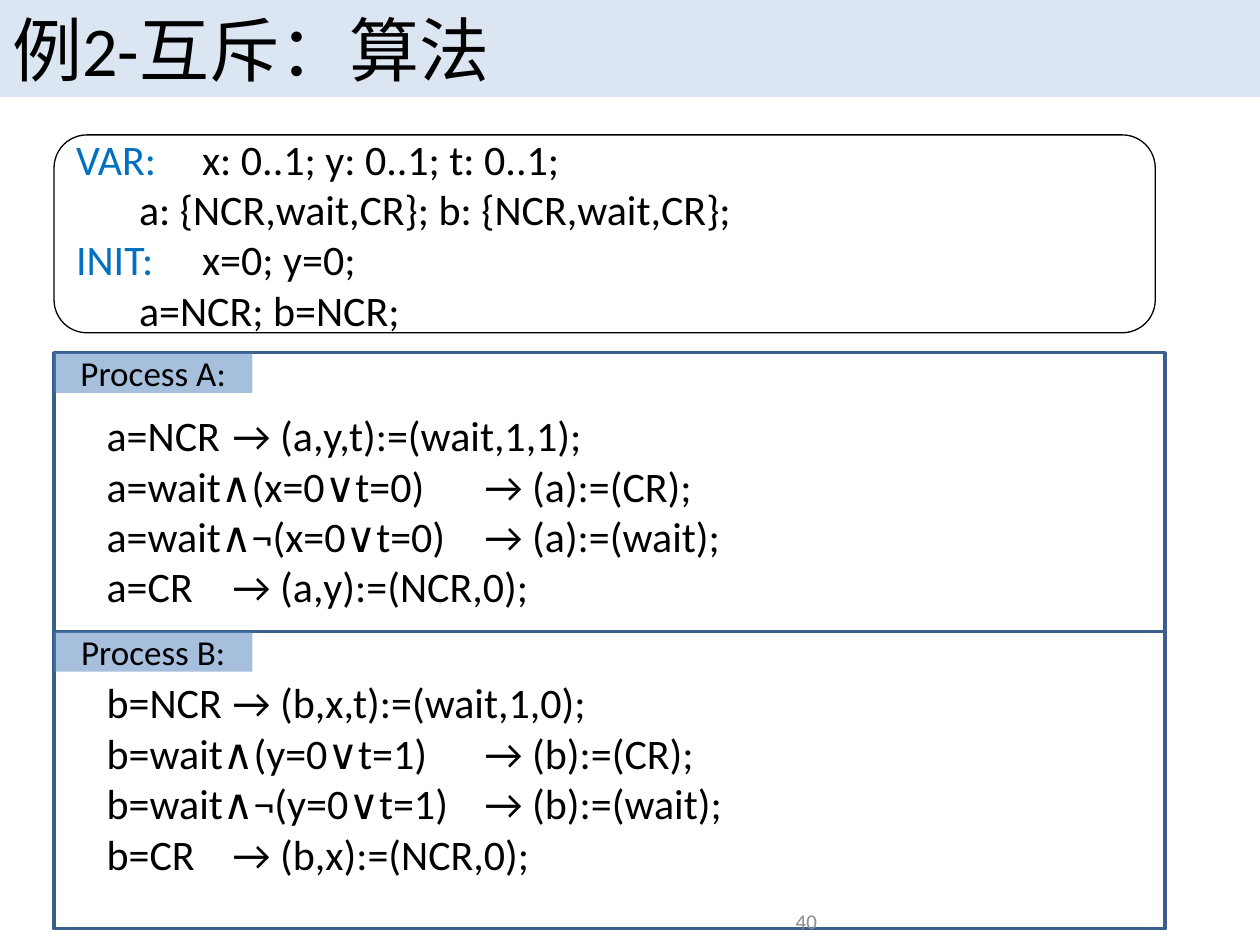
import dataclasses

import pptx
import pptx.dml.color
import pptx.enum.shapes
import pptx.enum.text
import pptx.oxml
import pptx.oxml.ns
import pptx.util
from pptx.util import Cm

SHAPES = pptx.enum.shapes.MSO_SHAPE
ALIGN = pptx.enum.text.PP_ALIGN
ANCHOR = pptx.enum.text.MSO_ANCHOR


@dataclasses.dataclass(frozen=True)
class Theme:
    """Colours, font and type sizes of the slide."""
    font: str = "Calibri"
    text: str = "000000"
    keyword: str = "0070C0"
    number: str = "8C8C8C"
    band: str = "DCE6F2"
    paper: str = "FFFFFF"
    tag: str = "4F81BD"
    frame: str = "3A5F8C"
    title_size: int = 40
    code_size: int = 24
    tag_size: int = 20
    number_size: int = 12


@dataclasses.dataclass(frozen=True)
class Box:
    """A rectangle in centimetres."""
    left: float
    top: float
    width: float
    height: float

    def inner(self, left, top, width, height):
        """Return a box placed relative to this one's top left corner."""
        return Box(self.left + left, self.top + top, width, height)

    def lengths(self):
        """Return left, top, width and height as lengths."""
        return [Cm(value) for value in dataclasses.astuple(self)]


THEME = Theme()
TITLE = "例2-互斥：算法"
DECLARATIONS = [
    ("VAR:", "x: 0..1; y: 0..1; t: 0..1;"),
    ("", "a: {NCR,wait,CR}; b: {NCR,wait,CR};"),
    ("INIT:", "x=0; y=0;"),
    ("", "a=NCR; b=NCR;"),
]
RULES_A = [
    ("a=NCR", "(a,y,t):=(wait,1,1);"),
    ("a=wait∧(x=0∨t=0)", "(a):=(CR);"),
    ("a=wait∧¬(x=0∨t=0)", "(a):=(wait);"),
    ("a=CR", "(a,y):=(NCR,0);"),
]
RULES_B = [
    ("b=NCR", "(b,x,t):=(wait,1,0);"),
    ("b=wait∧(y=0∨t=1)", "(b):=(CR);"),
    ("b=wait∧¬(y=0∨t=1)", "(b):=(wait);"),
    ("b=CR", "(b,x):=(NCR,0);"),
]


def rgb(value):
    """Turn a hex string into a colour."""
    return pptx.dml.color.RGBColor.from_string(value)


def set_attributes(target, values):
    """Set each attribute in a dict of format values."""
    for name, value in values.items():
        setattr(target, name, value)


def place(shape, box):
    """Move and size a shape to a box."""
    names = ("left", "top", "width", "height")
    set_attributes(shape, dict(zip(names, box.lengths())))


def paint(shape, fill=None, line=None, line_width=0.75):
    """Give a shape its fill and line, or none of them."""
    if fill:
        shape.fill.solid()
        shape.fill.fore_color.rgb = rgb(fill)
    else:
        shape.fill.background()
    if line:
        shape.line.color.rgb = rgb(line)
        shape.line.width = pptx.util.Pt(line_width)
    else:
        shape.line.fill.background()


def format_frame(shape, anchor, **values):
    """Set wrapping, fitting and anchor of a shape's text."""
    set_attributes(shape.text_frame, {
        "word_wrap": True,
        "auto_size": pptx.enum.text.MSO_AUTO_SIZE.NONE,
        "vertical_anchor": anchor,
        **values,
    })


def add_run(paragraph, text, size, color=THEME.text):
    """Add a run of text in the theme's font."""
    run = paragraph.add_run()
    run.text = text
    set_attributes(run.font, {"name": THEME.font, "size": pptx.util.Pt(size)})
    run.font.color.rgb = rgb(color)


def write_line(shape, text, size, alignment, color=THEME.text):
    """Write a single aligned line into a shape."""
    paragraph = shape.text_frame.paragraphs[0]
    paragraph.alignment = alignment
    add_run(paragraph, text, size, color)


def write_columns(shape, rows, tab, first_color=THEME.text):
    """Write rows of two columns parted by a tab stop."""
    frame = shape.text_frame
    for index, (first, second) in enumerate(rows):
        paragraph = frame.add_paragraph() if index else frame.paragraphs[0]
        set_attributes(paragraph, {"alignment": ALIGN.LEFT,
                                   "space_before": pptx.util.Pt(0)})
        properties = paragraph._p.get_or_add_pPr()
        properties.set("marL", "0")
        properties.set("indent", "0")
        pptx.oxml.ns.qn("a:tab")
        for tag in ("a:buNone", "a:tabLst"):
            child = properties.makeelement(pptx.oxml.ns.qn(tag), {})
            properties.append(child)
        stop = {"pos": str(int(Cm(tab))), "algn": "l"}
        child.append(child.makeelement(pptx.oxml.ns.qn("a:tab"), stop))
        if first:
            add_run(paragraph, first, THEME.code_size, first_color)
        add_run(paragraph, "\t" + second, THEME.code_size)


def add_box(slide, kind, box, **colours):
    """Add a flat shape with the given paint."""
    shape = slide.shapes.add_shape(kind, *box.lengths())
    shape.shadow.inherit = False
    paint(shape, **colours)
    return shape


def fill_title(title, box):
    """Lay the title on its band."""
    place(title, box)
    paint(title, fill=THEME.band)
    format_frame(title, ANCHOR.TOP)
    write_line(title, TITLE, THEME.title_size, ALIGN.LEFT)


def add_declarations(slide, box):
    """Add the rounded box of variables and initial values."""
    shape = add_box(slide, SHAPES.ROUNDED_RECTANGLE, box,
                    fill=THEME.paper, line=THEME.text)
    format_frame(shape, ANCHOR.MIDDLE)
    write_columns(shape, DECLARATIONS, 1.95, THEME.keyword)


def add_process(slide, body, box, name, rules, list_box):
    """Add a framed process with its tag and list of rules."""
    add_box(slide, SHAPES.RECTANGLE, box, line=THEME.frame, line_width=2)
    tag = add_box(slide, SHAPES.RECTANGLE, box.inner(0, 0, 4, 0.81), fill=THEME.tag)
    color = tag.fill._xPr.find(".//" + pptx.oxml.ns.qn("a:srgbClr"))
    color.append(color.makeelement(pptx.oxml.ns.qn("a:alpha"), {"val": "50000"}))
    format_frame(tag, ANCHOR.MIDDLE)
    write_line(tag, name, THEME.tag_size, ALIGN.CENTER)
    place(body, list_box)
    format_frame(body, ANCHOR.TOP, margin_left=Cm(0.45))
    rows = [(guard, "→ " + action) for guard, action in rules]
    write_columns(body, rows, 7.42)


def add_number(slide, box):
    """Add the page number."""
    shape = slide.shapes.add_textbox(*box.lengths())
    format_frame(shape, ANCHOR.MIDDLE)
    write_line(shape, "40", THEME.number_size, ALIGN.RIGHT, THEME.number)


def main():
    """Build and save the slide."""
    presentation = pptx.Presentation()
    set_attributes(presentation, {"slide_width": Cm(25.4), "slide_height": Cm(19.05)})
    slide = presentation.slides.add_slide(presentation.slide_layouts[3])
    title, body_a, body_b = slide.placeholders
    both = Box(1.09, 7.11, 22.4, 11.61)
    lower = both.inner(0, 5.62, 22.4, 5.99)
    fill_title(title, Box(0, 0, 25.4, 1.96))
    add_declarations(slide, Box(1.09, 2.72, 22.2, 3.99))
    add_process(slide, body_a, both, "Process A:", RULES_A,
                both.inner(0.61, 1.02, 15.6, 7.44))
    add_process(slide, body_b, lower, "Process B:", RULES_B,
                lower.inner(0.61, 0.79, 15.4, 5.13))
    add_number(slide, Box(8.69, 18.19, 8.03, 0.76))
    presentation.save("out.pptx")


if __name__ == "__main__":
    main()
